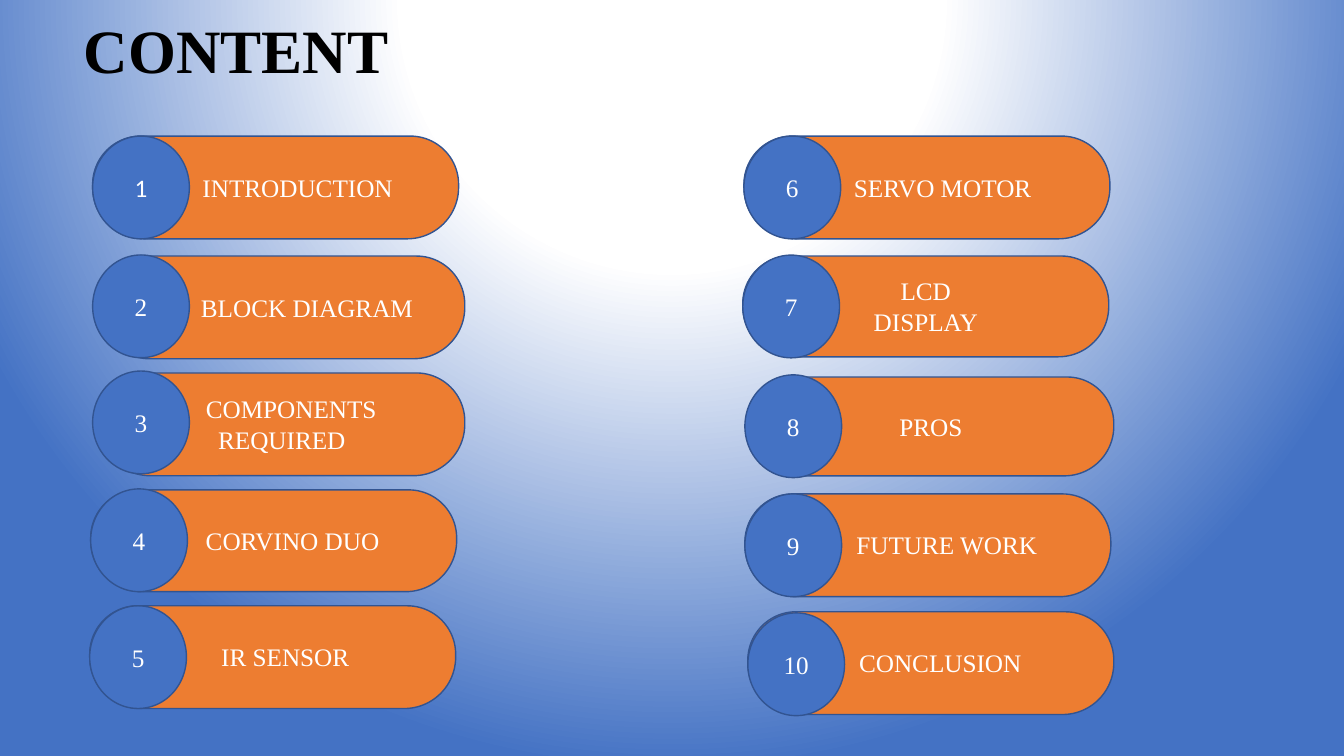
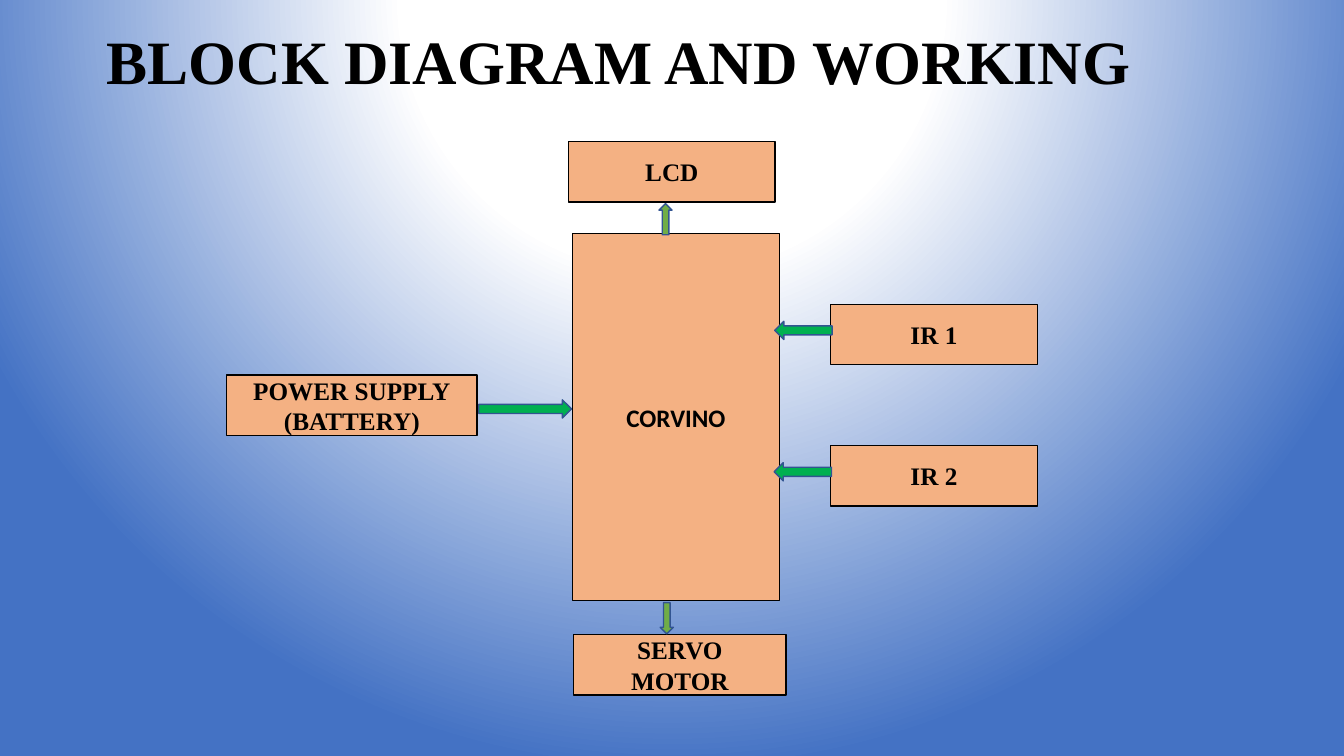
from pptx import Presentation
from pptx.dml.color import RGBColor as Rgb
from pptx.enum.shapes import MSO_SHAPE as Form
from pptx.enum.text import MSO_ANCHOR as Anchor, MSO_AUTO_SIZE as Fit, PP_ALIGN as Align
from pptx.oxml import parse_xml
from pptx.util import Pt

HUE = {
    "white": "FFFFFF", "black": "000000", "blue": "4472C4", "edge": "325491",
    "pill": "ED7D31", "box": "F4B183", "green": "00B050", "leaf": "70AD47",
}
SERIF = "Times New Roman"
SANS = "Calibri"
NS = "http://schemas.openxmlformats.org/drawingml/2006/main"


def add_title(text, left, top, width, height):
    slide = deck.slides.add_slide(deck.slide_layouts[5])
    title = slide.shapes.title
    title.left, title.top = Pt(left), Pt(top)
    title.width, title.height = Pt(width), Pt(height)
    frame = title.text_frame
    frame.text = text
    frame.auto_size = Fit.NONE
    frame.word_wrap = True
    frame.vertical_anchor = Anchor.MIDDLE
    para = frame.paragraphs[0]
    para.alignment = Align.LEFT
    para.line_spacing = 0.9
    para.font.name, para.font.size, para.font.bold = SERIF, Pt(44), True
    para.font.color.rgb = Rgb.from_string(HUE["black"])
    return slide


def add_form(slide, form, area, fill, edge="edge", text="", ink="white", face=SERIF, bold=False):
    shape = slide.shapes.add_shape(form, *[Pt(n) for n in area])
    shape.shadow.inherit = False
    shape.fill.solid()
    shape.fill.fore_color.rgb = Rgb.from_string(HUE[fill])
    shape.line.color.rgb = Rgb.from_string(HUE[edge])
    shape.line.width = Pt(1)
    if text:
        frame = shape.text_frame
        frame.text = text
        frame.word_wrap = True
        frame.vertical_anchor = Anchor.MIDDLE
        for para in frame.paragraphs:
            para.alignment = Align.CENTER
            para.font.name, para.font.size, para.font.bold = face, Pt(18), bold
            para.font.color.rgb = Rgb.from_string(HUE[ink])
    return shape


deck = Presentation()
deck.slide_width, deck.slide_height = Pt(960), Pt(540)

master = deck.slide_master
master.background.fill.solid()
solid = master.element.find(".//{%s}solidFill" % NS)
stops = "".join(
    f'<a:gs pos="{pos * 1000}"><a:srgbClr val="{HUE[hue]}"/></a:gs>'
    for pos, hue in [(0, "white"), (35, "white"), (100, "blue")]
)
glow = parse_xml(
    f'<a:gradFill xmlns:a="{NS}" rotWithShape="1"><a:gsLst>{stops}</a:gsLst>'
    '<a:path path="circle"><a:fillToRect l="50000" t="-80000" r="50000" b="180000"/></a:path>'
    "</a:gradFill>"
)
solid.getparent().replace(solid, glow)

slide = add_title("CONTENT", 52.6, -6.5, 828, 89.3)

topics = [
    ("INTRODUCTION", 31.5, 66.2, 97.2, 73.4, 66.2, 97.2),
    ("BLOCK DIAGRAM", 36, 70.6, 182.9, 73.4, 66.2, 182.1),
    ("COMPONENTS\nREQUIRED", 13.5, 70.6, 266.4, 73.4, 66.2, 265),
    ("CORVINO DUO", 27, 64.8, 349.9, 72.7, 64.8, 349.2),
    ("IR SENSOR", 18, 64.1, 432.7, 73.4, 64.1, 432.7),
    ("SERVO MOTOR", 22.5, 531.4, 97.2, 73.4, 531.4, 97.2),
    ("LCD\nDISPLAY", 0, 530.6, 182.9, 72, 530.6, 182.2),
    ("PROS", 0, 534.2, 269.3, 70.6, 532.1, 267.8),
    ("FUTURE WORK", 27, 532.1, 352.8, 73.4, 532.1, 352.8),
    ("CONCLUSION", 13.5, 534.2, 437, 73.4, 534.2, 437.8),
]
for num, (name, pad, left, top, height, disc_x, disc_y) in enumerate(topics, 1):
    pill = add_form(slide, Form.ROUND_2_SAME_RECTANGLE, (left, top, 261.4, height), "pill", text=name)
    pill.adjustments[0], pill.adjustments[1] = 0.47, 0.5
    first = pill.text_frame.paragraphs[0]
    first._p.get_or_add_pPr().set("marL", str(Pt(pad)))
    face = SANS if num == 1 else SERIF
    add_form(slide, Form.OVAL, (disc_x, disc_y, 69.1, 73.4), "blue", text=str(num), face=face)

slide = add_title("BLOCK DIAGRAM AND WORKING", 69.1, -7.9, 825.1, 108.7)

boxes = [
    ("CORVINO", 409, 167, 147.6, 262.1, SANS),
    ("LCD", 406.1, 101.2, 147.6, 43.2, SERIF),
    ("IR 1", 593.3, 217.4, 147.6, 43.2, SERIF),
    ("IR 2", 593.3, 318.2, 147.6, 43.2, SERIF),
    ("SERVO\nMOTOR", 409.7, 453.4, 151.9, 43.2, SERIF),
    ("POWER SUPPLY\n(BATTERY)", 162, 267.8, 178.6, 43.2, SERIF),
]
for name, *area, face in boxes:
    add_form(slide, Form.RECTANGLE, area, "box", "black", name, "black", face, True)

arrows = [
    (Form.RIGHT_ARROW, "green", 342, 285.6, 66.2, 13),
    (Form.LEFT_ARROW, "green", 553.4, 229.5, 41, 13),
    (Form.LEFT_ARROW, "green", 553, 330.5, 41, 13),
    (Form.UP_ARROW, "leaf", 470.7, 145.4, 9.4, 22.3),
    (Form.DOWN_ARROW, "leaf", 471.6, 430.4, 9.4, 22.3),
]
for form, fill, *area in arrows:
    add_form(slide, form, area, fill)

deck.save("out.pptx")
